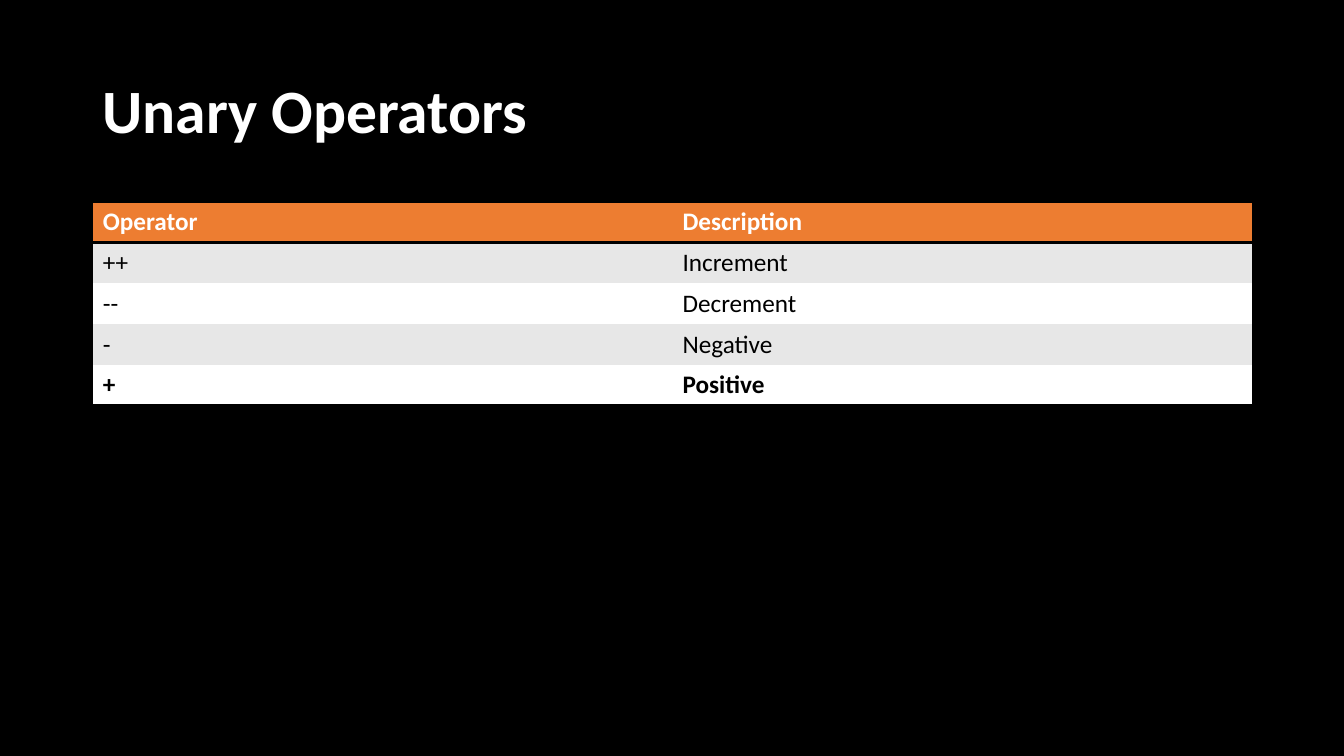
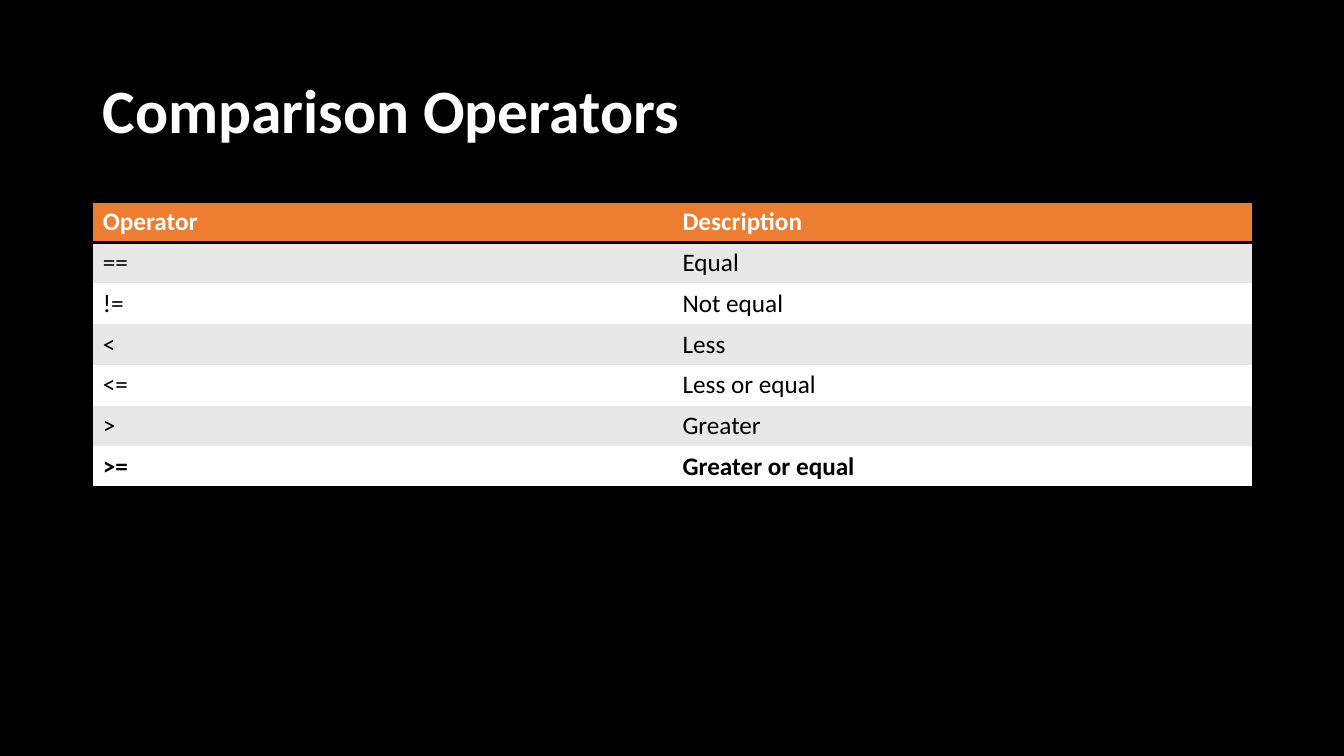
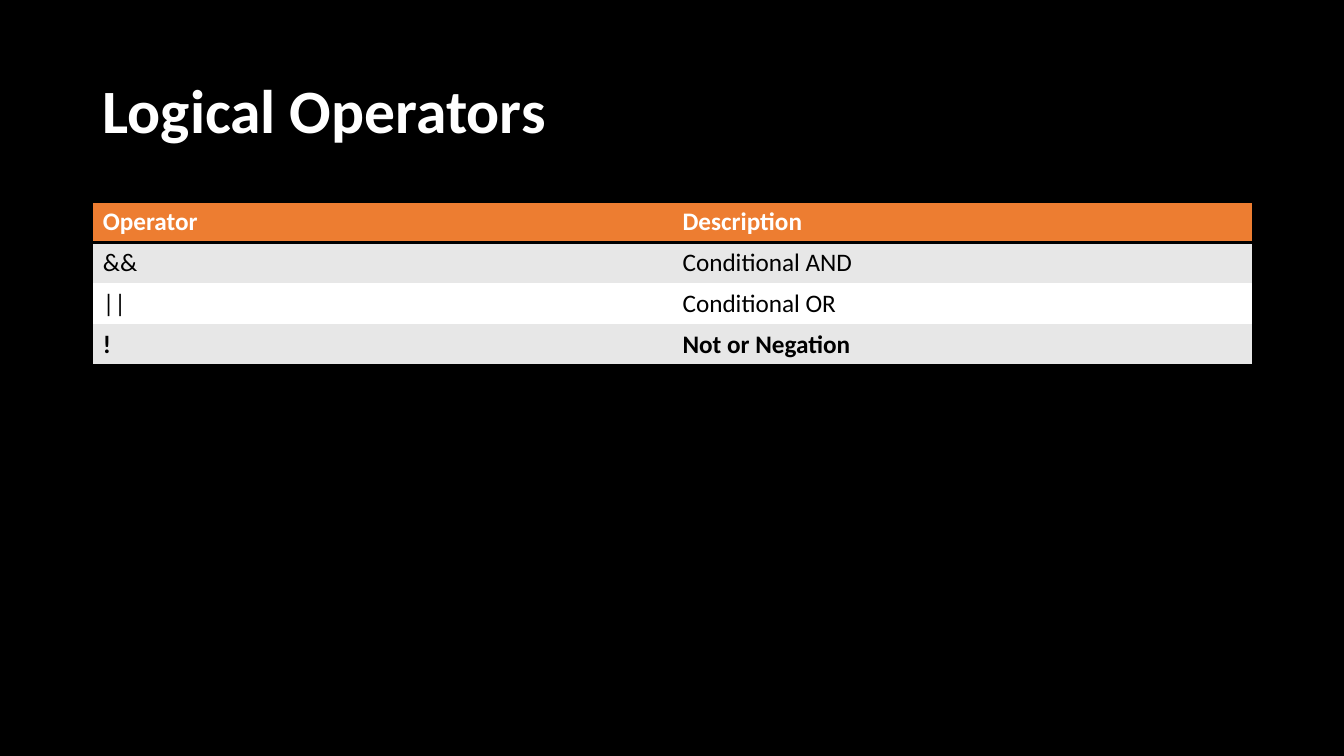
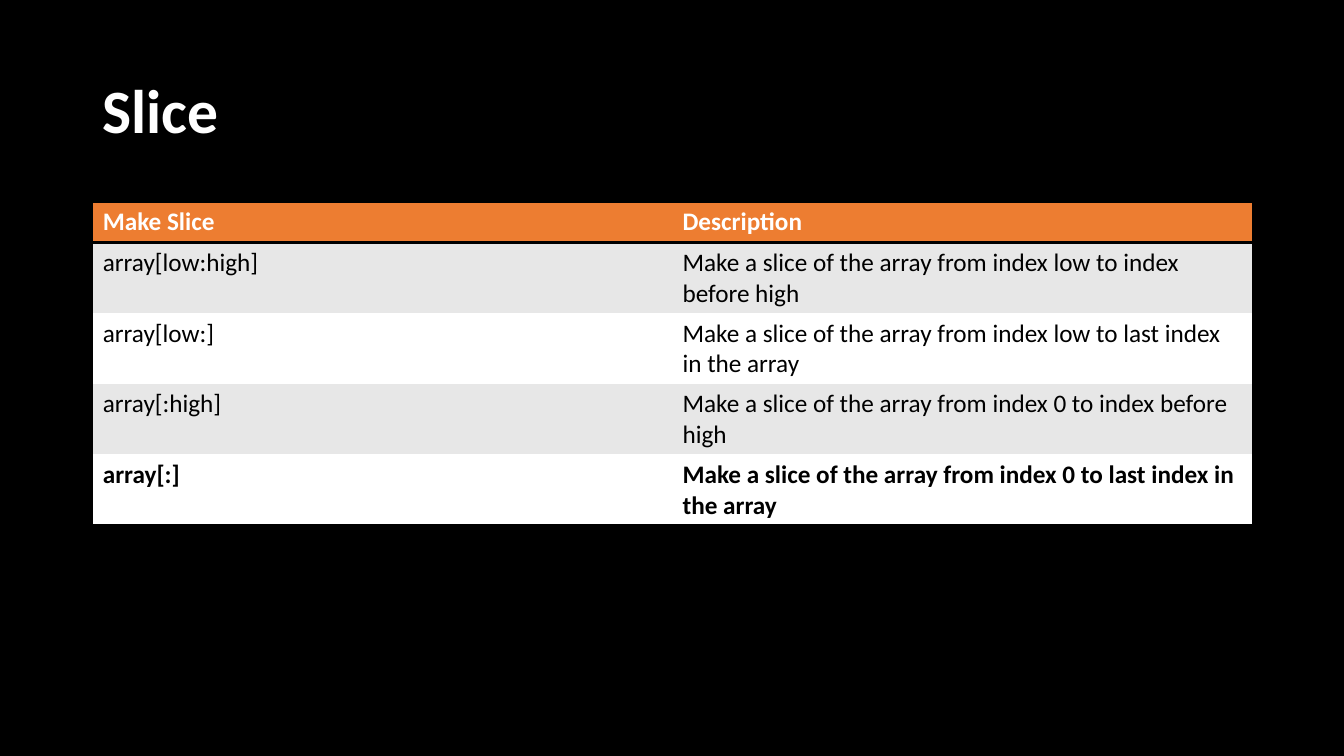
from lxml.etree import SubElement
from pptx import Presentation
from pptx.dml.color import RGBColor
from pptx.enum.text import MSO_ANCHOR
from pptx.oxml.ns import qn
from pptx.util import Inches, Pt

BLACK, WHITE, ORANGE, GREY = "000000", "FFFFFF", "ED7D31", "E7E7E7"
FONT = "Calibri"
LEFT, WIDTH = 0.92, 11.5
ROW_HEIGHT = 1.62 / 4
PLAIN_TABLE_STYLE = "{2D5ABB26-0587-4C30-8999-92F81FD0307C}"

OPERATOR_HEADER = ("Operator", "Description")
SLIDES = [
    ("Unary Operators", [
        OPERATOR_HEADER,
        ("++", "Increment"),
        ("--", "Decrement"),
        ("-", "Negative"),
        ("+", "Positive"),
    ]),
    ("Comparison Operators", [
        OPERATOR_HEADER,
        ("==", "Equal"),
        ("!=", "Not equal"),
        ("<", "Less"),
        ("<=", "Less or equal"),
        (">", "Greater"),
        (">=", "Greater or equal"),
    ]),
    ("Logical Operators", [
        OPERATOR_HEADER,
        ("&&", "Conditional AND"),
        ("||", "Conditional OR"),
        ("!", "Not or Negation"),
    ]),
    ("Slice", [
        ("Make Slice", "Description"),
        ("array[low:high]",
         "Make a slice of the array from index low to index before high"),
        ("array[low:]",
         "Make a slice of the array from index low to last index in the array"),
        ("array[:high]",
         "Make a slice of the array from index 0 to index before high"),
        ("array[:]",
         "Make a slice of the array from index 0 to last index in the array"),
    ]),
]


def rgb(value):
    return RGBColor.from_string(value)


class SlideBuilder:
    """Holds the deck, its style and the current slide."""

    def __init__(self):
        self.deck = Presentation()
        self.deck.slide_width = Inches(13.33)
        self.deck.slide_height = Inches(7.5)
        self.page = None

    def add_page(self):
        self.page = self.deck.slides.add_slide(self.deck.slide_layouts[6])
        background = self.page.background.fill
        background.solid()
        background.fore_color.rgb = rgb(BLACK)

    def add_run(self, para, text, size, color, bold):
        span = para.add_run()
        span.text = text
        span.font.name = FONT
        span.font.size = Pt(size)
        span.font.bold = bold
        span.font.color.rgb = rgb(color)

    def add_title(self, text):
        box = self.page.shapes.add_textbox(
            Inches(LEFT), Inches(0.4), Inches(WIDTH), Inches(1.45))
        frame = box.text_frame
        frame.word_wrap = True
        frame.vertical_anchor = MSO_ANCHOR.MIDDLE
        para = frame.paragraphs[0]
        para.line_spacing = 0.9
        self.add_run(para, text, 44, WHITE, True)

    def add_border(self, cell, side):
        """Draw a black rule on one side: lnT for top, lnB for bottom."""
        line = SubElement(cell._tc.get_or_add_tcPr(), qn(f"a:{side}"),
                          w=str(Pt(2)))
        fill = SubElement(line, qn("a:solidFill"))
        SubElement(fill, qn("a:srgbClr"), val=BLACK)

    def add_table(self, rows):
        """Add a banded table with a header row and a bold last row."""
        frame = self.page.shapes.add_table(
            len(rows), len(rows[0]), Inches(LEFT), Inches(2),
            Inches(WIDTH), Inches(ROW_HEIGHT * len(rows)))
        next(frame.element.iter(qn("a:tableStyleId"))).text = PLAIN_TABLE_STYLE
        for row_index, texts in enumerate(rows):
            header = row_index == 0
            last = row_index == len(rows) - 1
            band = ORANGE if header else GREY if row_index % 2 else WHITE
            for column_index, text in enumerate(texts):
                cell = frame.table.cell(row_index, column_index)
                if header:
                    self.add_border(cell, "lnT")
                if header or last:
                    self.add_border(cell, "lnB")
                cell.fill.solid()
                cell.fill.fore_color.rgb = rgb(band)
                self.add_run(cell.text_frame.paragraphs[0], text, 18,
                             WHITE if header else BLACK, header or last)


def main():
    builder = SlideBuilder()
    for title, rows in SLIDES:
        builder.add_page()
        builder.add_title(title)
        builder.add_table(rows)
    builder.deck.save("out.pptx")


if __name__ == "__main__":
    main()
